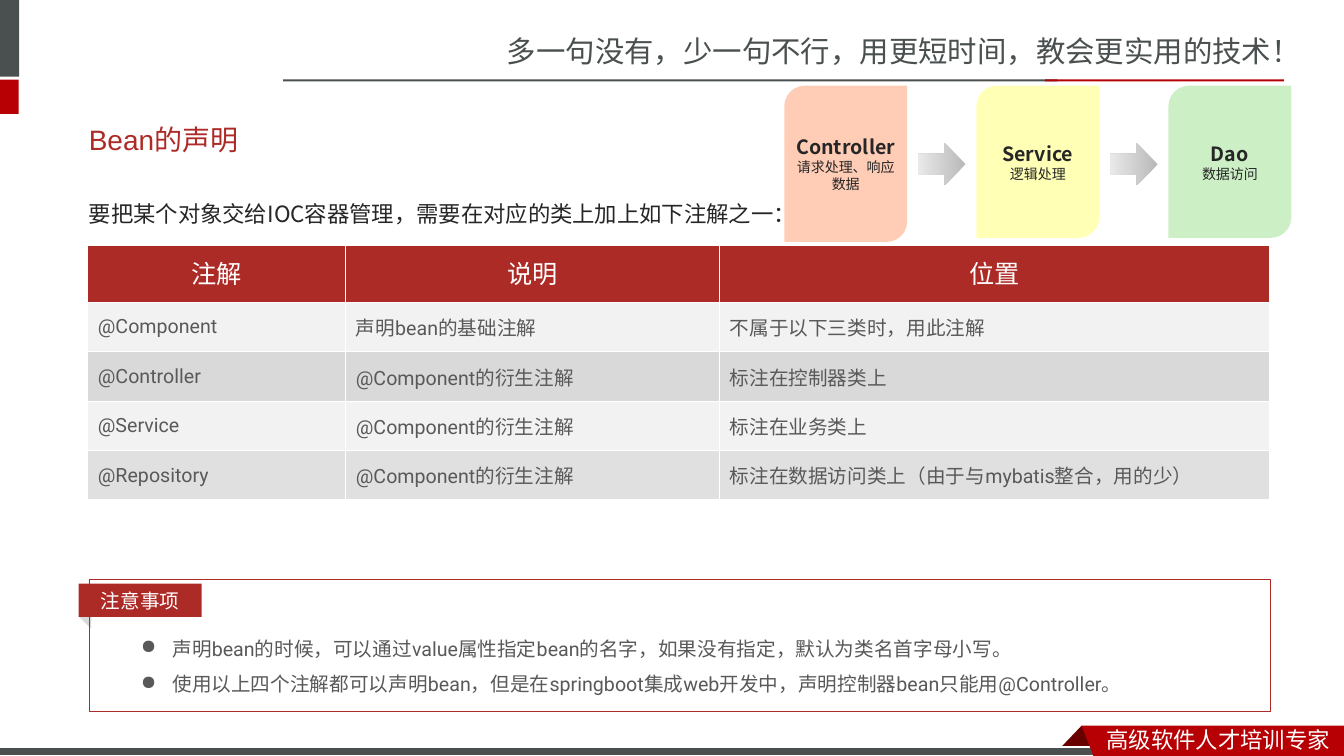
from lxml.etree import SubElement
from pptx import Presentation
from pptx.dml.color import RGBColor
from pptx.enum.shapes import MSO_SHAPE as Shape
from pptx.enum.text import MSO_ANCHOR as Anchor, MSO_AUTO_SIZE as AutoSize, PP_ALIGN as Align
from pptx.oxml.ns import qn
from pptx.util import Pt

TAGLINE = "多一句没有，少一句不行，用更短时间，教会更实用的技术！"
FOOTER = "高级软件人才培训专家"
TITLE = "Bean的声明"
INTRO = "要把某个对象交给IOC容器管理，需要在对应的类上加上如下注解之一："
TABLE = [
    ("注解", "说明", "位置"),
    ("@Component", "声明bean的基础注解", "不属于以下三类时，用此注解"),
    ("@Controller", "@Component的衍生注解", "标注在控制器类上"),
    ("@Service", "@Component的衍生注解", "标注在业务类上"),
    ("@Repository", "@Component的衍生注解", "标注在数据访问类上（由于与mybatis整合，用的少）"),
]
LAYERS = [  # name, duty, colour, height
    ("Controller", "请求处理、响应数据", "peach", 111.6),
    ("Service", "逻辑处理", "yellow", 108.7),
    ("Dao", "数据访问", "green", 108.7),
]
NOTES_TAG = "注意事项"
NOTES = [
    "声明bean的时候，可以通过value属性指定bean的名字，如果没有指定，默认为类名首字母小写。",
    "使用以上四个注解都可以声明bean，但是在springboot集成web开发中，声明控制器bean只能用@Controller。",
]

COLORS = {
    "slate": "49504F", "red": "B60004", "maroon": "680000", "white": "FFFFFF",
    "title": "AD2A26", "brick": "AD2B26", "ink": "262626", "grey": "595959",
    "light": "F2F2F2", "mid": "D9D9D9", "peach": "FFCCB6", "yellow": "FFFFB6",
    "green": "CCEFC6", "arrow_dark": "B8B8B8", "arrow_light": "E9E9E9",
}
SC, JP = "Noto Sans CJK SC", "Noto Sans CJK JP"
COLUMN_WIDTHS = (184.3, 267.1, 393.1)
HEADER_HEIGHT, ROW_HEIGHT = 41, 35.3
ROW_FILLS = ("brick", "light", "mid", "light", "mid")
CARD_LEFT, CARD_STEP, CARD_WIDTH = 560.2, 137.2, 87.8


def color(name):
    return RGBColor.from_string(COLORS[name])


def points(*values):
    return [Pt(value) for value in values]


def write(para, text, size, ink, face, east=SC, bold=False):
    span = para.add_run()
    span.text = text
    for key, value in {"size": Pt(size), "name": face, "bold": bold}.items():
        setattr(span.font, key, value)
    span.font.color.rgb = color(ink)
    SubElement(span.font._element, qn("a:ea"), typeface=east)


def style(shape, fill=None, line=None):
    shape.shadow.inherit = False
    if fill:
        shape.fill.solid()
        shape.fill.fore_color.rgb = color(fill)
    else:
        shape.fill.background()
    if line:
        shape.line.color.rgb = color(line)
        shape.line.width = Pt(0.75)
    else:
        shape.line.fill.background()
    return shape


def add_preset(page, kind, place, fill=None, line=None):
    return style(page.shapes.add_shape(kind, *points(*place)), fill, line)


def add_outline(page, corners, fill):
    start, *others = [points(*corner) for corner in corners]
    builder = page.shapes.build_freeform(*start, scale=1.0)
    builder.add_line_segments(others, close=True)
    style(builder.convert_to_shape(), fill)


def add_text_box(page, place):
    frame = page.shapes.add_textbox(*points(*place)).text_frame
    frame.word_wrap = True
    return frame


def fill_placeholder(holder, place, anchor):
    """Place a template placeholder and return its first paragraph, without bullet."""
    holder.left, holder.top, holder.width, holder.height = points(*place)
    frame = holder.text_frame
    frame.auto_size = AutoSize.NONE
    frame.vertical_anchor = anchor
    para = frame.paragraphs[0]
    para.alignment = Align.LEFT
    para.space_before = Pt(0)
    set_bullet(para, 0)
    return para


def set_bullet(para, indent, mark=None):
    props = para._p.get_or_add_pPr()
    props.set("marL", str(Pt(indent)))
    props.set("indent", str(-Pt(indent)))
    if mark:
        SubElement(props, qn("a:buChar"), char=mark)
    else:
        SubElement(props, qn("a:buNone"))


def draw_frame(page):
    write(add_text_box(page, (355, 20.2, 605, 33.8)).paragraphs[0], TAGLINE, 21, "slate", SC)
    for place, fill in [
        ((0, 0, 13.7, 54.7), "slate"), ((0, 56.9, 13.3, 24.5), "red"),
        ((202.3, 56.6, 553, 1.5), "slate"), ((746.6, 56.6, 170.6, 1.5), "red"),
    ]:
        add_preset(page, Shape.RECTANGLE, place, fill)
    add_outline(page, [(772.6, 518.4), (788.4, 535), (756.7, 535)], "maroon")
    add_preset(page, Shape.RECTANGLE, (0, 533.6, 792, 6.4), "slate", "white")
    add_outline(page, [(772.6, 518.4), (960, 518.4), (960, 540), (781, 540)], "red")
    write(add_text_box(page, (783.4, 514.8, 176.6, 25.2)).paragraphs[0], FOOTER, 16, "white", SC)


def draw_table(page):
    height = HEADER_HEIGHT + ROW_HEIGHT * (len(TABLE) - 1)
    place = points(62.7, 175, sum(COLUMN_WIDTHS), height)
    table = page.shapes.add_table(len(TABLE), len(COLUMN_WIDTHS), *place).table
    for column, width in zip(table.columns, COLUMN_WIDTHS):
        column.width = Pt(width)
    for r, texts in enumerate(TABLE):
        table.rows[r].height = Pt(ROW_HEIGHT if r else HEADER_HEIGHT)
        for c, text in enumerate(texts):
            cell = table.cell(r, c)
            cell.vertical_anchor = Anchor.MIDDLE
            cell.fill.solid()
            cell.fill.fore_color.rgb = color(ROW_FILLS[r])
            para = cell.text_frame.paragraphs[0]
            if r == 0:
                para.alignment = Align.CENTER
                para.line_spacing = Pt(24)
            write(para, text, 14 if r else 18, "grey" if r else "white", "Roboto")
            if r == len(TABLE) - 1:
                shade = cell._tc.tcPr.find(".//" + qn("a:srgbClr"))
                SubElement(shade, qn("a:alpha"), val="80000")


def draw_layers(page):
    for i, (name, duty, fill, height) in enumerate(LAYERS):
        left = CARD_LEFT + i * CARD_STEP
        card = add_preset(page, Shape.ROUND_2_DIAG_RECTANGLE, (left, 61.2, CARD_WIDTH, height), fill)
        frame = card.text_frame
        for side in ("left", "top", "right", "bottom"):
            setattr(frame, f"margin_{side}", 0)
        for para, text, size in [(frame.paragraphs[0], name, 14), (frame.add_paragraph(), duty, 10)]:
            para.alignment = Align.CENTER
            write(para, text, size, "ink", JP, JP, bold=size == 14)
        if i:
            arrow = add_preset(page, Shape.RIGHT_ARROW, (left - 41.5, 102.2, 33.8, 30.2))
            arrow.fill.gradient()
            arrow.fill.gradient_angle = 180
            for stop, shade in zip(arrow.fill.gradient_stops, ("arrow_dark", "arrow_light")):
                stop.color.rgb = color(shade)


def draw_notes(page):
    frame = add_text_box(page, (93.6, 442.8, 794.9, 55.4))
    for i, note in enumerate(NOTES):
        para = frame.add_paragraph() if i else frame.paragraphs[0]
        set_bullet(para, 22.5, "●")
        para.line_spacing = 1.5
        write(para, note, 14, "grey", "Roboto")
    fold = add_preset(page, Shape.ISOSCELES_TRIANGLE, (56.9, 439.2, 12.2, 6.5), "mid")
    fold.rotation = 44.2
    add_preset(page, Shape.RECTANGLE, (64.1, 414, 843.1, 94.3), line="brick")
    tag = add_preset(page, Shape.RECTANGLE, (56.2, 416.9, 87.8, 23.8), "brick")
    para = tag.text_frame.paragraphs[0]
    para.alignment = Align.CENTER
    write(para, NOTES_TAG, 14, "white", "Roboto")


def main():
    deck = Presentation()
    deck.slide_width, deck.slide_height = points(960, 540)
    page = deck.slides.add_slide(deck.slide_layouts[1])
    draw_frame(page)
    title = fill_placeholder(page.shapes.title, (56.2, 79.2, 474.5, 41), Anchor.MIDDLE)
    write(title, TITLE, 20, "title", "Arial")
    intro = fill_placeholder(page.placeholders[1], (56.2, 129.6, 846.7, 41), Anchor.TOP)
    intro.line_spacing = 1.5
    write(intro, INTRO, 16, "ink", JP, JP)
    draw_table(page)
    draw_layers(page)
    draw_notes(page)
    deck.save("out.pptx")


if __name__ == "__main__":
    main()
